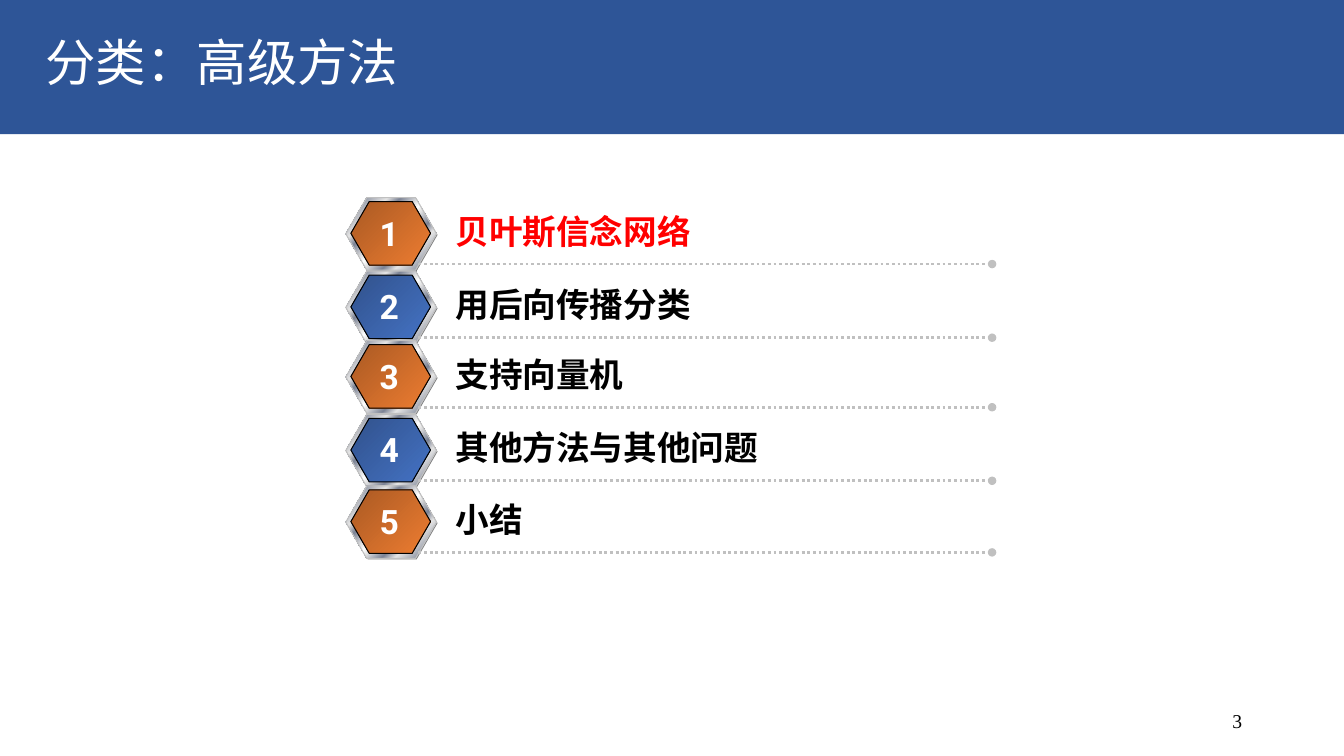
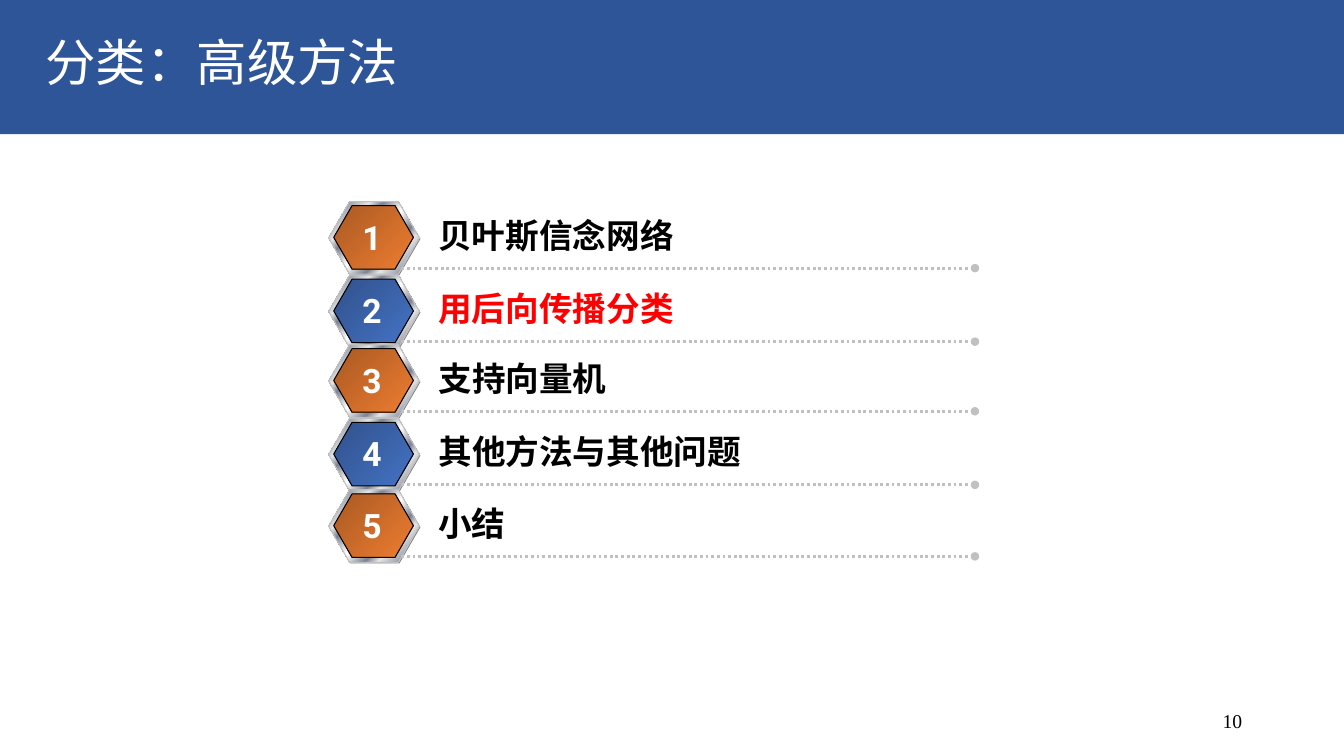
"""Build two agenda slides whose current topic is highlighted."""
from dataclasses import dataclass

from lxml import etree
from pptx import Presentation
from pptx import util as u
from pptx.dml.color import RGBColor
from pptx.enum import dml, shapes, text
from pptx.oxml import ns

PX = 9144
TITLE = "分类：高级方法"
TOPICS = ("贝叶斯信念网络", "用后向传播分类", "支持向量机", "其他方法与其他问题", "小结")
ROW_OFFSETS = (0, 73, 142, 215, 286)


@dataclass(frozen=True)
class Theme:
    """Colours, fonts and type sizes."""
    band: str = "2E5597"
    white: str = "FFFFFF"
    black: str = "000000"
    current: str = "FF0000"
    shade: str = "808080"
    silver: str = "C0C0C0"
    metal: tuple = ((0, "E6E6E6"), (8, "7D8496"), (26, "E6E6E6"), (34, "7D8496"),
                    (46, "E6E6E6"), (50, "FFFFFF"), (54, "E6E6E6"), (66, "7D8496"),
                    (74, "E6E6E6"), (92, "7D8496"), (100, "E6E6E6"))
    cores: tuple = (((0, "AA5923"), (100, "ED7D31")), ((0, "31528C"), (100, "4472C4")))
    title_font: str = "Calibri"
    label_font: str = "Noto Sans CJK SC"
    badge_font: str = "Roboto"
    number_font: str = "Times New Roman"
    title_size: int = 36
    topic_size: int = 24
    number_size: int = 14


THEME = Theme()


def px(*lengths):
    """Turn px lengths into EMU."""
    return [u.Emu(length * PX) for length in lengths]


def rgb(code):
    """Turn a hex code into a colour."""
    return RGBColor.from_string(code)


def write(para, words, font, size, color, bold=False, align=text.PP_ALIGN.LEFT):
    """Add one formatted run to a paragraph."""
    para.alignment = align
    span = para.add_run()
    span.text = words
    span.font.name = font
    span.font.size = u.Pt(size)
    span.font.bold = bold
    span.font.color.rgb = rgb(color)
    return span


def add_text(parent, place, words, font, size, color, bold=False, align=text.PP_ALIGN.LEFT):
    """Add a one-line text box and return it with its run."""
    box = parent.shapes.add_textbox(*px(*place))
    box.text_frame.word_wrap = False
    span = write(box.text_frame.paragraphs[0], words, font, size, color, bold, align)
    return box, span


def fill_gradient(shape, stops):
    """Fill a shape with a diagonal gradient of any number of stops."""
    shape.fill.gradient()
    shape.fill.gradient_angle = 315
    stop_list = shape._element.spPr.find(".//" + ns.qn("a:gsLst"))
    for old_stop in list(stop_list):
        stop_list.remove(old_stop)
    for percent, code in stops:
        stop = etree.SubElement(stop_list, ns.qn("a:gs"), pos=str(percent * 1000))
        etree.SubElement(stop, ns.qn("a:srgbClr"), val=code)


def add_hexagon(group, place, fill, line=None):
    """Add a hexagon with a plain or gradient fill."""
    hexagon = group.shapes.add_shape(shapes.MSO_SHAPE.HEXAGON, *px(*place))
    hexagon.shadow.inherit = False
    hexagon.adjustments[0] = 0.289
    hexagon.adjustments[1] = 1.155
    if isinstance(fill, str):
        hexagon.fill.solid()
        hexagon.fill.fore_color.rgb = rgb(fill)
    else:
        fill_gradient(hexagon, fill)
    if line:
        hexagon.line.color.rgb = rgb(line)
        hexagon.line.width = u.Pt(0.75)
    else:
        hexagon.line.fill.background()


def add_rule(group, left, right, top):
    """Add a dotted rule that ends in a dot."""
    rule = group.shapes.add_connector(shapes.MSO_CONNECTOR.STRAIGHT, *px(left, top, right, top))
    rule.line.color.rgb = rgb(THEME.silver)
    rule.line.width = u.Pt(2)
    rule.line.dash_style = dml.MSO_LINE.ROUND_DOT
    etree.SubElement(rule.line._get_or_add_ln(), ns.qn("a:tailEnd"), type="oval")
    etree.SubElement(rule._element.spPr, ns.qn("a:effectLst"))


def add_topic(page, left, top, index, is_current):
    """Add one grouped agenda row: badge, rule, label and number."""
    group = page.shapes.add_group_shape()
    add_hexagon(group, (left - 4, top - 3, 90, 72), THEME.shade)
    add_hexagon(group, (left - 5, top - 4, 90, 72), THEME.metal, THEME.silver)
    add_hexagon(group, (left, top, 79, 63), THEME.cores[index % 2], THEME.black)
    add_rule(group, left + 67, left + 636, top + 62)
    topic = TOPICS[index]
    label, span = add_text(group, (left + 94, top + 4, 34 * len(topic) + 19, 50), topic,
                           THEME.label_font, THEME.topic_size,
                           THEME.current if is_current else THEME.black, True)
    etree.SubElement(span.font._element, ns.qn("a:ea"), typeface=THEME.label_font)
    badge, _ = add_text(group, (left + 17, top + 6, 42, 50), str(index + 1),
                        THEME.badge_font, THEME.topic_size, THEME.white, True,
                        text.PP_ALIGN.CENTER)
    for box in (label, badge):
        box.text_frame.auto_size = text.MSO_AUTO_SIZE.SHAPE_TO_FIT_TEXT


def style_layout(layout, page):
    """Give the layout its title band and title position."""
    band = page.shapes.add_shape(shapes.MSO_SHAPE.RECTANGLE, *px(-3, -1, 1341, 134))
    band.shadow.inherit = False
    band.fill.solid()
    band.fill.fore_color.rgb = rgb(THEME.band)
    band.line.fill.background()
    band._element.nvSpPr.cNvPr.set("id", "20")
    layout.shapes._spTree.insert(2, band._element)
    for holder in list(layout.placeholders):
        if holder.placeholder_format.type == shapes.PP_PLACEHOLDER.TITLE:
            holder.left, holder.top, holder.width, holder.height = px(35, 15, 1133, 100)
            holder.text_frame.vertical_anchor = text.MSO_ANCHOR.MIDDLE
        else:
            holder._element.getparent().remove(holder._element)


def fill_agenda(page, number, left, top, current):
    """Fill a page with the title, page number and topics."""
    para = page.shapes.title.text_frame.paragraphs[0]
    para.line_spacing = 0.9
    write(para, TITLE, THEME.title_font, THEME.title_size, THEME.white)
    box, _ = add_text(page, (942, 695, 300, 40), str(number), THEME.number_font,
                      THEME.number_size, THEME.black, align=text.PP_ALIGN.RIGHT)
    box.text_frame.word_wrap = True
    box.text_frame.vertical_anchor = text.MSO_ANCHOR.MIDDLE
    for index, offset in enumerate(ROW_OFFSETS):
        add_topic(page, left, top + offset, index, index == current)


def main():
    """Build and save the deck."""
    deck = Presentation()
    deck.slide_width, deck.slide_height = px(1333, 750)
    layout = deck.slide_layouts.get_by_name("Title Only")
    pages = [deck.slides.add_slide(layout) for _ in range(2)]
    style_layout(layout, pages[0])
    fill_agenda(pages[0], 3, 348, 200, 0)
    fill_agenda(pages[1], 10, 331, 204, 1)
    deck.save("out.pptx")


if __name__ == "__main__":
    main()
